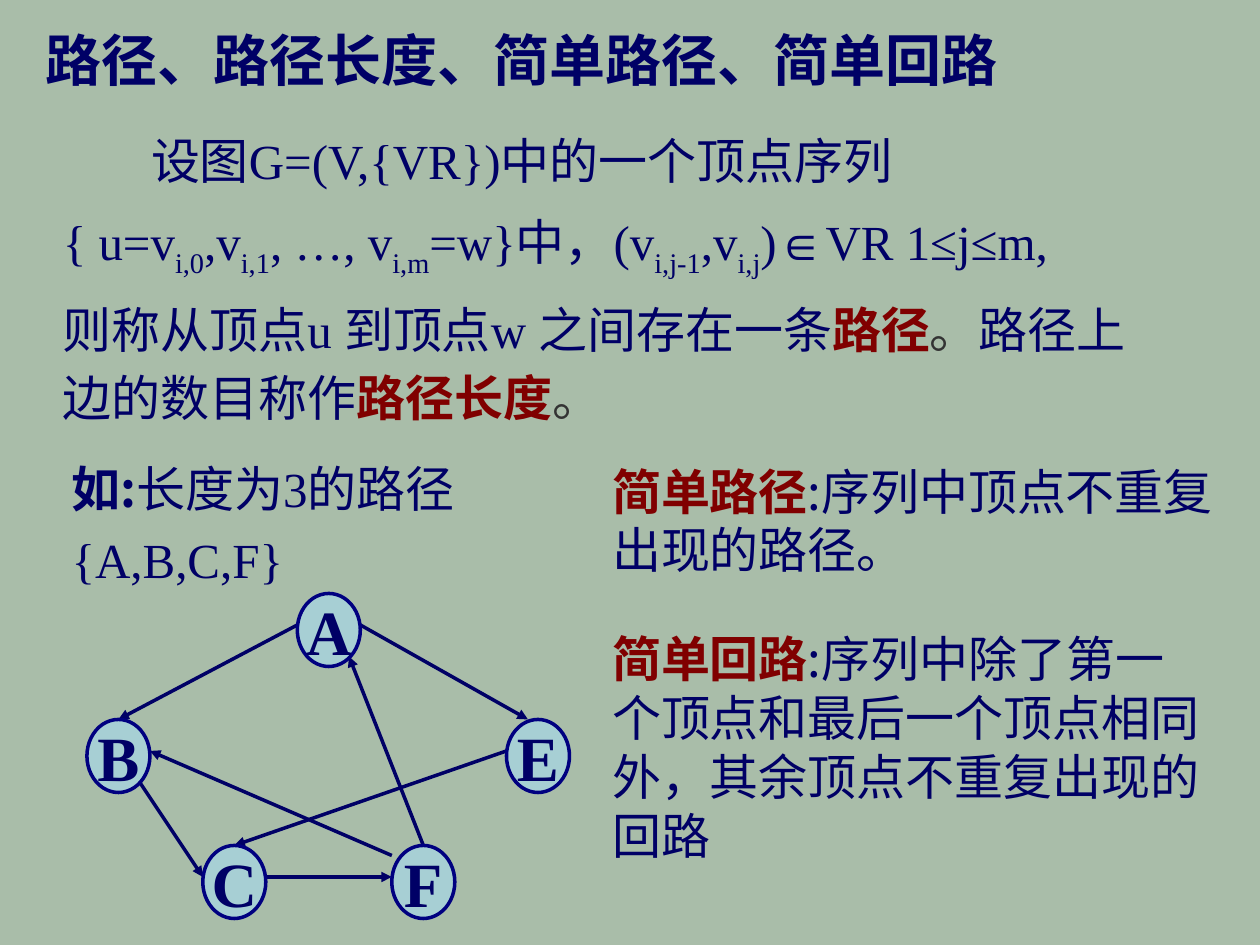
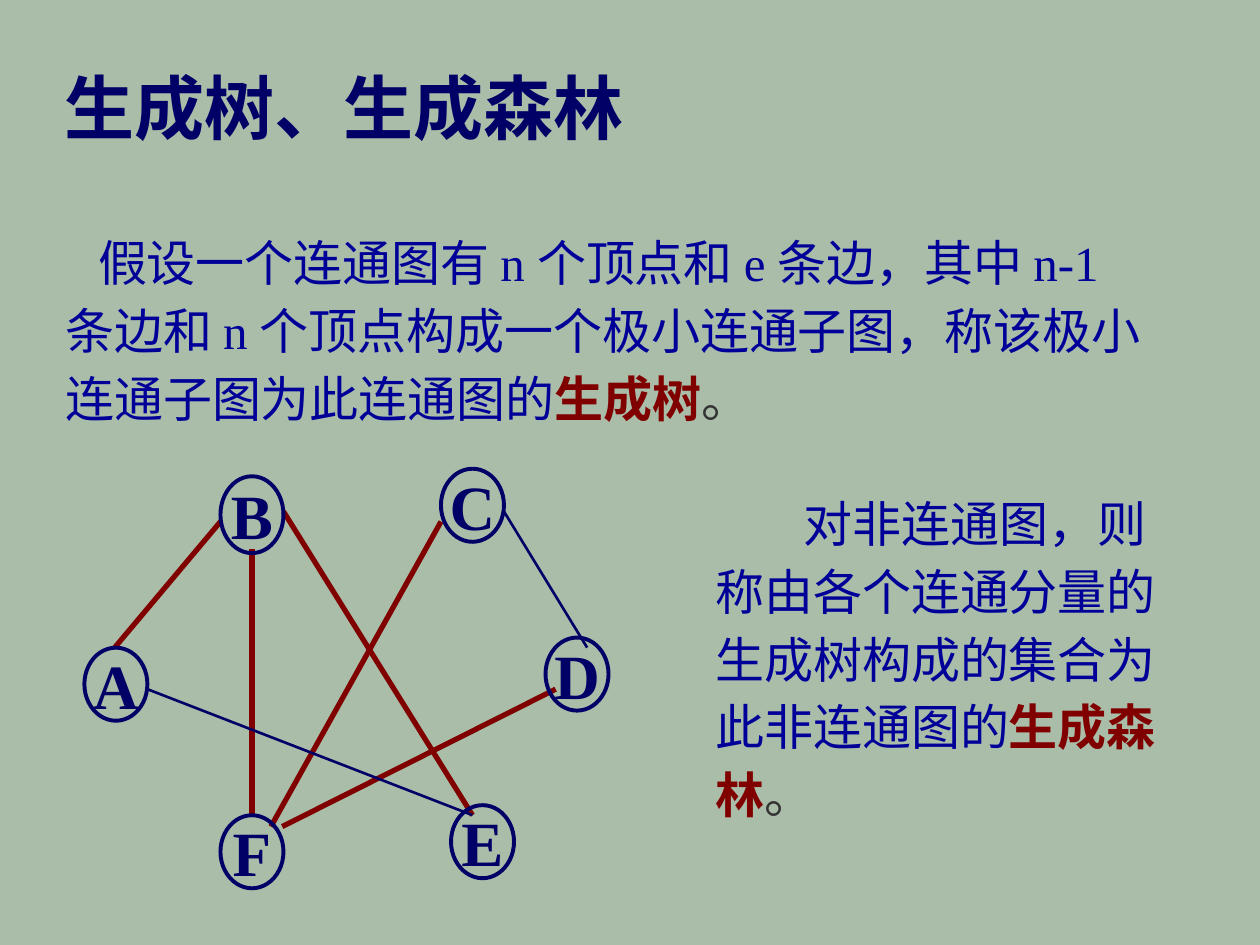
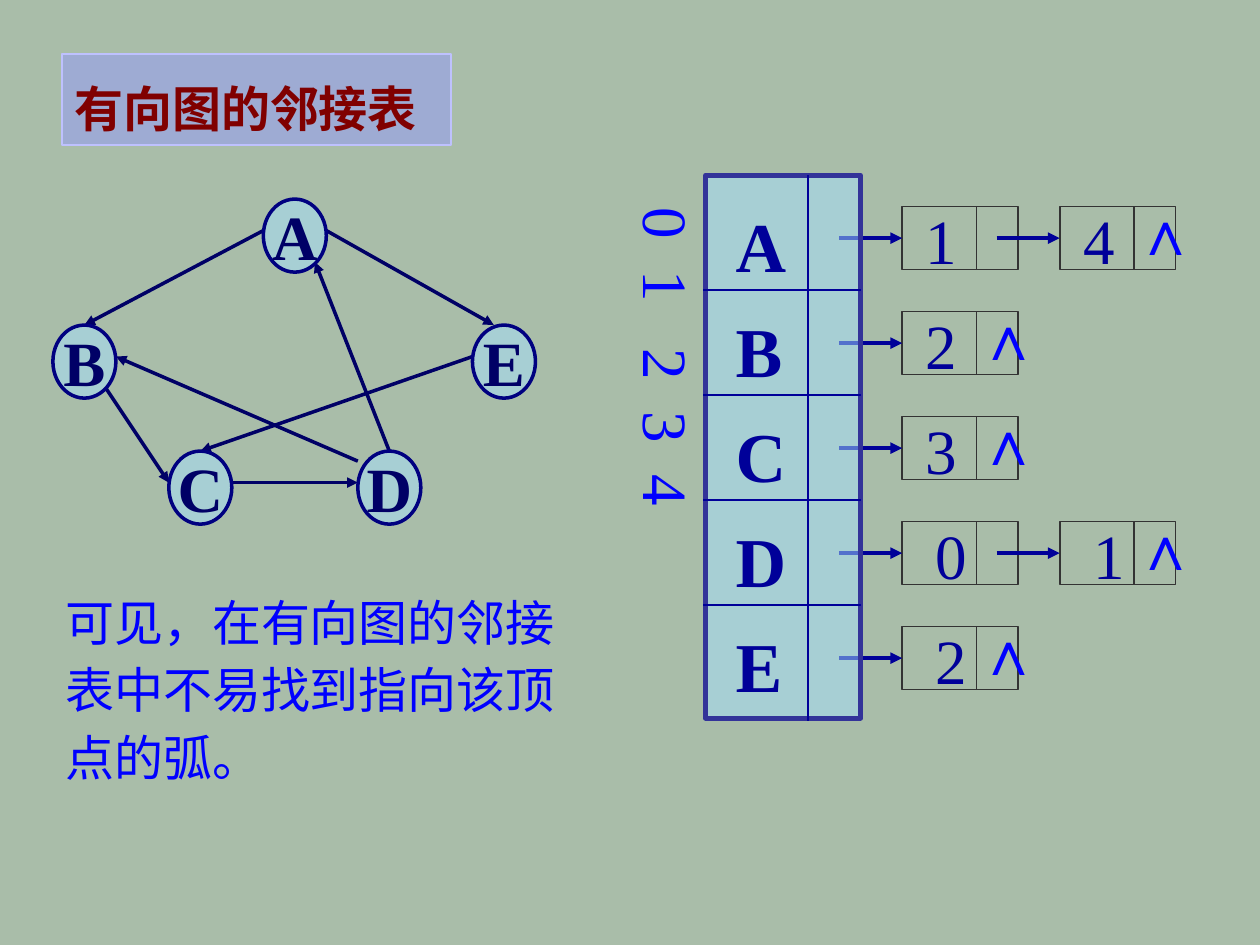
"""Build three slides on graph paths, spanning trees and adjacency lists."""
from lxml import etree
from pptx import Presentation
from pptx.dml.color import RGBColor
from pptx.enum.shapes import MSO_CONNECTOR, MSO_SHAPE
from pptx.enum.text import MSO_ANCHOR, MSO_AUTO_SIZE, PP_ALIGN
from pptx.oxml.ns import qn
from pptx.util import Inches, Pt

STRAIGHT = MSO_CONNECTOR.STRAIGHT
OVAL = MSO_SHAPE.OVAL
RECTANGLE = MSO_SHAPE.RECTANGLE
LEFT, CENTER = PP_ALIGN.LEFT, PP_ALIGN.CENTER
TOP, MIDDLE = MSO_ANCHOR.TOP, MSO_ANCHOR.MIDDLE
NO_AUTOFIT = MSO_AUTO_SIZE.NONE

LATIN = "Times New Roman"
CHINESE = "Noto Sans CJK SC"
COLORS = {
    "background": "A9BDA9",
    "navy": "000066",
    "ink": "000099",
    "bright": "0000FF",
    "term": "800000",
    "gray": "333333",
    "node": "A7E2FF",
    "node_edge": "000080",
    "table_edge": "333399",
    "banner": "959AFD",
    "banner_edge": "BEC1FE",
}
RGB = {name: RGBColor.from_string(value) for name, value in COLORS.items()}


def add_text(slide, box, paragraphs, size=28, color="navy", bold=False, font=LATIN, spacing=1.0,
             after=0, indent=0, tabs=(), wrap=True, align=LEFT, anchor=TOP,
             shape=None, tint=None, edge=None, edge_width=1):
    box = [Inches(value) for value in box]
    if shape is None:
        shape = slide.shapes.add_textbox(*box)
    else:
        shape.left, shape.top, shape.width, shape.height = box
        shape.shadow.inherit = False
        shape.fill.background()
    if tint:
        shape.fill.solid()
        shape.fill.fore_color.rgb = RGB[tint]
        tint_color = shape.element.spPr.find(qn("a:solidFill"))[0]
        etree.SubElement(tint_color, qn("a:alpha"), val="50000")
    if edge:
        shape.line.color.rgb = RGB[edge]
        shape.line.width = Pt(edge_width)
    frame = shape.text_frame
    frame.word_wrap = wrap
    frame.auto_size = NO_AUTOFIT
    frame.vertical_anchor = anchor
    for index, spans in enumerate(paragraphs):
        paragraph = frame.add_paragraph() if index else frame.paragraphs[0]
        paragraph.alignment = align
        paragraph.line_spacing = spacing
        paragraph.space_after = Pt(after)
        properties = paragraph._p.get_or_add_pPr()
        if indent and (index == 0 or len(paragraphs) == 5):
            properties.set("indent", str(Inches(indent)))
        if tabs:
            stops = etree.SubElement(properties, qn("a:tabLst"))
            for stop in tabs:
                etree.SubElement(stops, qn("a:tab"), pos=str(Inches(stop)), algn="l")
        paragraph.font.size = Pt(size)
        paragraph.font.bold = bold
        paragraph.font.color.rgb = RGB[color]
        paragraph.font.name = font
        etree.SubElement(properties.find(qn("a:defRPr")), qn("a:ea"), typeface=CHINESE)
        for span in [spans] if isinstance(spans, str) else spans:
            text, style = (span, "") if isinstance(span, str) else span
            run = paragraph.add_run()
            run.text = text
            if style in ("term", "gray"):
                run.font.color.rgb = RGB[style]
            if style in ("term", "bold"):
                run.font.bold = True
            if style == "latin":
                run.font.name = LATIN
            if style == "sub":
                run.font._element.set("baseline", "-25000")
    return shape


def add_line(slide, start, end, color="navy", width=2.0, arrow=False):
    line = slide.shapes.add_connector(STRAIGHT, *[Inches(value) for value in (*start, *end)])
    line.line.color.rgb = RGB[color]
    line.line.width = Pt(width)
    if arrow:
        etree.SubElement(line.element.spPr.find(qn("a:ln")), qn("a:tailEnd"), type="triangle")
    etree.SubElement(line.element.spPr, qn("a:effectLst"))


prs = Presentation()
prs.slide_width, prs.slide_height = Inches(10), Inches(7.5)
master_fill = prs.slide_master.background.fill
master_fill.solid()
master_fill.fore_color.rgb = RGB["background"]
paths, spanning, adjacency = [prs.slides.add_slide(prs.slide_layouts[5]) for _ in range(3)]

add_text(paths, (0.26, 0.15, 7.83, 0.64), ["路径、路径长度、简单路径、简单回路"],
         size=32, bold=True, wrap=False, shape=paths.shapes.title)
add_text(spanning, (0.41, 0.46, 4.69, 0.77), ["生成树、生成森林"],
         size=40, bold=True, wrap=False, shape=spanning.shapes.title)
add_text(adjacency, (0.49, 0.43, 3.09, 0.72), ["有向图的邻接表"], color="term", bold=True,
         spacing=1.3, shape=adjacency.shapes.title, tint="banner", edge="banner_edge")

add_text(paths, (0.4, 0.92, 8.78, 2.43), [
    "设图G=(V,{VR})中的一个顶点序列",
    ["{ u=v", ("i,0", "sub"), ",v", ("i,1", "sub"), ", …, v", ("i,m", "sub"), "=w}中，(v",
     ("i,j-1", "sub"), ",v", ("i,j", "sub"), ")∈VR 1≤j≤m,"],
    ["则称从顶点", "u ", "到顶点", "w ", "之间存在一条", ("路径", "term"), ("。", "gray"),
     "路径上边的数目称作", ("路径长度", "term"), ("。", "gray")],
], spacing=1.15, after=7, indent=0.7)
add_text(paths, (0.47, 3.5, 3.66, 1.22),
         [[("如:", "bold"), "长度为", ("3", "latin"), "的路径", ("{A,B,C,F}", "latin")]],
         font=CHINESE, spacing=1.2)
add_text(paths, (4.76, 3.61, 5, 1.03),
         [[("简单路径", "term"), ":序列中顶点不重复出现的路径。"]], font=CHINESE)
add_text(paths, (4.76, 4.94, 4.91, 1.99),
         [[("简单回路", "term"), ":序列中除了第一个顶点和最后一个顶点相同外，其余顶点不重复出现的回路"]],
         font=CHINESE)

add_text(spanning, (0.42, 1.73, 8.84, 1.71), [[
    "假设一个连通图有 ", ("n ", "latin"), "个顶点和 ", ("e ", "latin"), "条边，其中 ",
    ("n-1 ", "latin"), "条边和 ", ("n ", "latin"),
    "个顶点构成一个极小连通子图，称该极小连通子图为此连通图的",
    ("生成树", "term"), ("。", "gray"),
]], color="ink", font=CHINESE, spacing=1.15, indent=0.26)
add_text(spanning, (5.58, 3.8, 3.94, 2.78), [[
    "对非连通图，则称由各个连通分量的生成树构成的集合为此非连通图的",
    ("生成森林", "term"), ("。", "gray"),
]], color="ink", spacing=1.15, indent=0.7)

tree_edges = [
    ((1.75, 4.14), (0.91, 5.14)), ((2.25, 4.06), (3.75, 6.47)), ((3.5, 4.14), (2.15, 6.56)),
    ((4.41, 5.47), (2.24, 6.56)), ((2, 4.36), (2, 6.47)),
]
other_edges = [((1.17, 5.47), (3.75, 6.47)), ((4, 4.06), (4.66, 5.14))]
for start, end in tree_edges:
    add_line(spanning, start, end, "term", 3)
for start, end in other_edges:
    add_line(spanning, start, end, "navy", 1.5)
tree_vertices = [("B", 1.75, 3.78, 0.61), ("A", 0.67, 5.14, 0.58), ("C", 3.5, 3.72, 0.58),
                 ("D", 4.33, 5.06, 0.58), ("F", 1.75, 6.47, 0.58), ("E", 3.58, 6.39, 0.58)]
for label, x, y, height in tree_vertices:
    add_text(spanning, (x, y, 0.5, height), [label], size=36, bold=True, wrap=False,
             align=CENTER, anchor=MIDDLE, shape=spanning.shapes.add_shape(OVAL, 0, 0, 0, 0),
             edge="navy", edge_width=2.25)

arcs = [
    ((1.67, 0.25), (0.25, 1)), ((0.42, 1.5), (0.92, 2.25)), ((1.42, 2.25), (2.42, 2.25)),
    ((2.67, 2), (2.08, 0.5)), ((2.17, 0.25), (3.5, 1)), ((2.42, 2.08), (0.5, 1.25)),
    ((3.33, 1.25), (1.17, 2)),
]
vertices = [(1.67, 0), (0, 1), (3.33, 1), (0.92, 2), (2.42, 2)]
for slide, left, top, labels in [(paths, 0.69, 4.71, "ABECF"), (adjacency, 0.42, 1.58, "ABECD")]:
    for (x1, y1), (x2, y2) in arcs:
        add_line(slide, (left + x1, top + y1), (left + x2, top + y2), arrow=True)
    for label, (x, y) in zip(labels, vertices):
        add_text(slide, (left + x, top + y, 0.5, 0.58), [label], size=36, bold=True, wrap=False,
                 align=CENTER, anchor=MIDDLE, shape=slide.shapes.add_shape(OVAL, 0, 0, 0, 0),
                 tint="node", edge="node_edge", edge_width=2)

ROW_PITCH = 2.5 / 3
neighbours = [("14", 0.09), ("2", 0.09), ("3", 0.09), ("01", 0.17), ("2", 0.17)]
for row, (targets, label_offset) in enumerate(neighbours):
    top = 1.64 + row * ROW_PITCH
    for column, target in enumerate(targets):
        left = 7.16 + 1.25 * column
        add_text(adjacency, (left + label_offset, top - 0.09, 0.45, 0.7), [target],
                 size=36, color="ink", wrap=False)
        cell = adjacency.shapes.add_shape(RECTANGLE, Inches(left), Inches(top),
                                          Inches(0.92), Inches(0.5))
        cell.shadow.inherit = False
        cell.fill.background()
        cell.line.color.rgb = RGB["gray"]
        cell.line.width = Pt(1)
        add_line(adjacency, (left + 0.59, top), (left + 0.59, top + 0.5), "gray", 1)
        add_line(adjacency, (left - 0.5, top + 0.25), (left, top + 0.25), "ink", 2.25, True)
    add_text(adjacency, (left + 0.5, top - 0.16, 0.5, 0.7), ["∧"],
             size=36, color="bright", wrap=False)

indices = add_text(adjacency, (4.86, 1.55, 0.8, 4.17), ["0\t1\t2\t3\t4"], size=36,
                   color="bright", tabs=(0.5, 1.12, 1.62, 2.12))
indices.element.txBody.bodyPr.set("vert", "eaVert")
add_text(adjacency, (5.6, 1.39, 1.23, 4.31), list("ABCDE"), size=40, color="ink", bold=True,
         spacing=1.25, indent=0.14, shape=adjacency.shapes.add_shape(RECTANGLE, 0, 0, 0, 0),
         tint="node", edge="table_edge", edge_width=2.75)
add_line(adjacency, (6.41, 1.39), (6.41, 5.72), "ink", 1)
for row in range(4):
    y = 2.3 + row * ROW_PITCH
    add_line(adjacency, (5.58, y), (6.83, y), "ink", 1)
add_text(adjacency, (0.42, 4.58, 4.42, 1.71),
         ["可见，在有向图的邻接表中不易找到指向该顶点的弧。"], color="bright", spacing=1.15)

prs.save("out.pptx")
